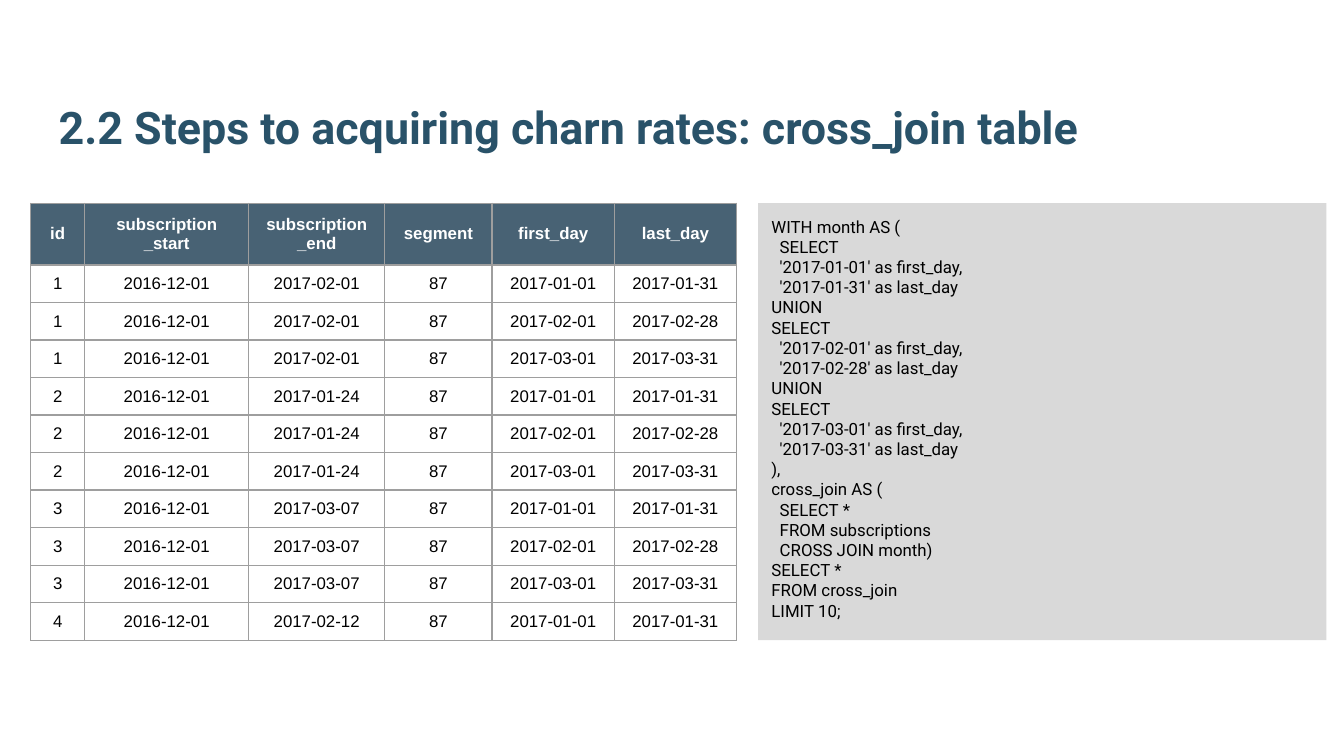
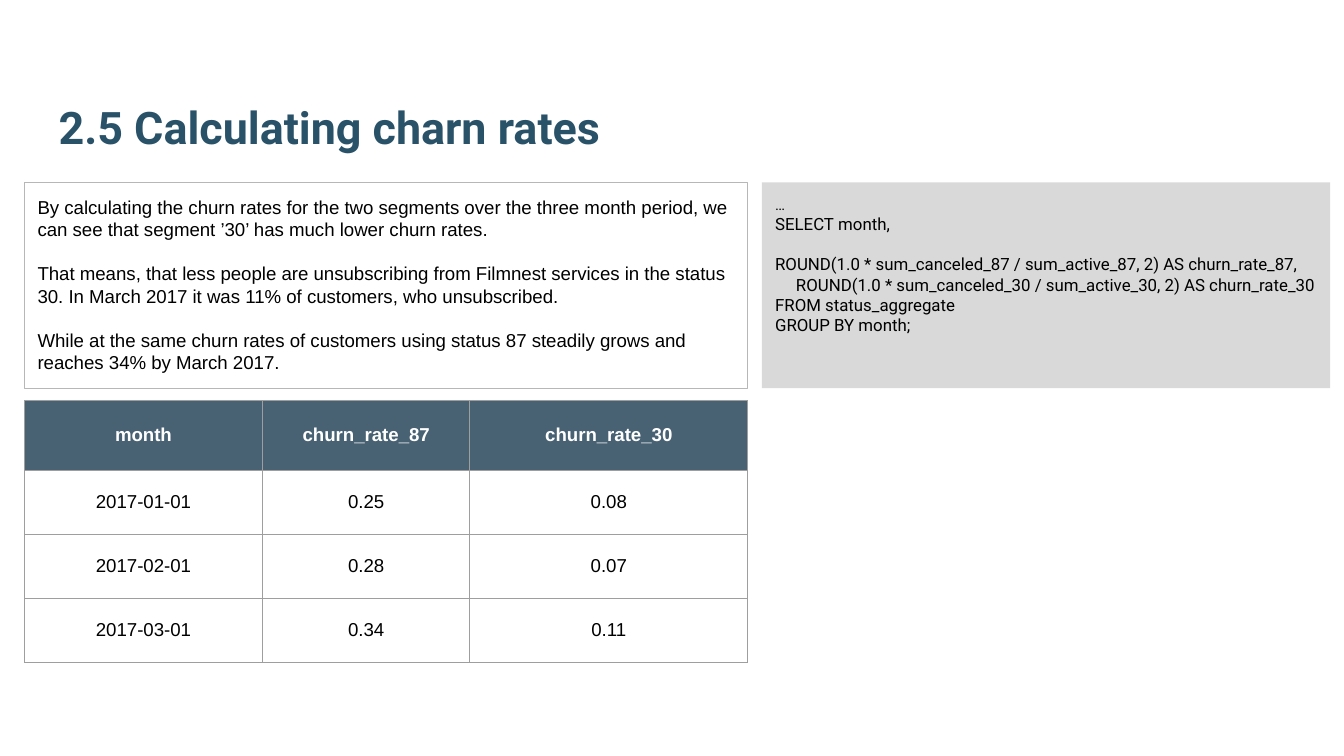
from dataclasses import dataclass
from itertools import islice, product

from lxml.etree import SubElement
from pptx import Presentation
from pptx.dml.color import RGBColor
from pptx.enum.shapes import MSO_SHAPE
from pptx.enum.text import MSO_ANCHOR, PP_ALIGN
from pptx.oxml import parse_xml
from pptx.oxml.ns import nsdecls, qn
from pptx.util import Cm, Pt


@dataclass(frozen=True)
class Theme:
    title_color: str = "295269"
    header_fill: str = "204056"
    header_opacity: int = 82
    header_text: str = "FFFFFF"
    text: str = "000000"
    code_fill: str = "D9D9D9"
    note_line: str = "B7B7B7"
    grid_line: str = "9E9E9E"
    heading_font: str = "Roboto"
    body_font: str = "Arial"
    title_size: float = 24
    body_size: float = 10
    small_size: float = 9
    ellipsis_size: float = 8
    line_width: float = 0.75


@dataclass(frozen=True)
class Box:
    """A region in centimetres."""
    left: float
    top: float
    width: float
    height: float

    def lengths(self):
        return [Cm(value) for value in (self.left, self.top, self.width, self.height)]


THEME = Theme()
TITLE_BOX = Box(0.86, 0.81, 23.67, 2.34)
INSET = Cm(0.25)
NO_BREAK_SPACE = chr(160)

MONTHS = [
    ("2017-01-01", "2017-01-31"),
    ("2017-02-01", "2017-02-28"),
    ("2017-03-01", "2017-03-31"),
]
SUBSCRIPTIONS = [
    ("1", "2016-12-01", "2017-02-01", "87"),
    ("2", "2016-12-01", "2017-01-24", "87"),
    ("3", "2016-12-01", "2017-03-07", "87"),
    ("4", "2016-12-01", "2017-02-12", "87"),
]
CROSS_JOIN_HEADER = ["id", "subscription\n_start", "subscription_end",
                     "segment", "first_day", "last_day"]
CROSS_JOIN_CODE = """WITH month AS (
  SELECT
  '2017-01-01' as first_day,
  '2017-01-31' as last_day
UNION
SELECT
  '2017-02-01' as first_day,
  '2017-02-28' as last_day
UNION
SELECT
  '2017-03-01' as first_day,
  '2017-03-31' as last_day
),
cross_join AS (
  SELECT *
  FROM subscriptions
  CROSS JOIN month)
SELECT *
FROM cross_join
LIMIT 10;"""

CHURN_HEADER = ["month", "churn_rate_87", "churn_rate_30"]
CHURN_ROWS = [
    ("2017-01-01", "0.25", "0.08"),
    ("2017-02-01", "0.28", "0.07"),
    ("2017-03-01", "0.34", "0.11"),
]
CHURN_CODE = """…
SELECT month,
     ROUND(1.0 * sum_canceled_87 / sum_active_87, 2) AS churn_rate_87, 
     ROUND(1.0 * sum_canceled_30 / sum_active_30, 2) AS churn_rate_30
FROM status_aggregate
GROUP BY month;"""
CHURN_NOTES = [
    "By calculating the churn rates for the two segments over the three month period, "
    "we can see that segment ’30’ has much lower churn rates.",
    "That means, that less people are unsubscribing from Filmnest services in the "
    "status 30. In March 2017 it was 11% of customers, who unsubscribed.",
    "While at the same churn rates of customers using status 87 steadily grows and "
    "reaches 34% by March 2017.",
]


def add_span(para, text, font, size, color, bold=False):
    span = para.add_run()
    span.text = text
    span.font.name = font
    span.font.size = Pt(size)
    span.font.bold = bold
    span.font.color.rgb = RGBColor.from_string(color)


def paragraphs(frame, lines):
    """Yield a paragraph of the frame for each line, using the first one it has."""
    for index, line in enumerate(lines):
        yield (frame.add_paragraph() if index else frame.paragraphs[0]), line


def prepare_frame(frame, anchor):
    frame.word_wrap = True
    frame.vertical_anchor = anchor
    frame.margin_left = frame.margin_right = INSET
    frame.margin_top = frame.margin_bottom = INSET


def add_title(page, text):
    frame = page.shapes.add_textbox(*TITLE_BOX.lengths()).text_frame
    prepare_frame(frame, MSO_ANCHOR.BOTTOM)
    add_span(frame.paragraphs[0], text, THEME.heading_font, THEME.title_size,
             THEME.title_color, bold=True)


def add_panel(page, box, fill=None, line=None):
    panel = page.shapes.add_shape(MSO_SHAPE.RECTANGLE, *box.lengths())
    panel.shadow.inherit = False
    if fill:
        panel.fill.solid()
        panel.fill.fore_color.rgb = RGBColor.from_string(fill)
    else:
        panel.fill.background()
    if line:
        panel.line.color.rgb = RGBColor.from_string(line)
        panel.line.width = Pt(THEME.line_width)
    else:
        panel.line.fill.background()
    prepare_frame(panel.text_frame, MSO_ANCHOR.TOP)
    return panel.text_frame


def add_code(page, box, code):
    frame = add_panel(page, box, fill=THEME.code_fill)
    for para, line in paragraphs(frame, code.split("\n")):
        para.alignment = PP_ALIGN.LEFT
        # Only the indent may break; the statement itself stays together
        statement = line.lstrip(" ")
        indent = line[:len(line) - len(statement)]
        size = THEME.ellipsis_size if line == "…" else THEME.small_size
        add_span(para, indent + statement.replace(" ", NO_BREAK_SPACE),
                 THEME.heading_font, size, THEME.text)


def add_notes_panel(page, box, notes):
    frame = add_panel(page, box, line=THEME.note_line)
    for para, note in paragraphs(frame, notes):
        para.alignment = PP_ALIGN.LEFT
        if note != notes[0]:
            para.space_before = Pt(THEME.body_size * 1.15)
        add_span(para, note, THEME.body_font, THEME.body_size, THEME.text)


def add_borders(cell):
    properties = cell._tc.get_or_add_tcPr()
    for index, side in enumerate("LRTB"):
        properties.insert(index, parse_xml(
            f'<a:ln{side} {nsdecls("a")} w="{Pt(THEME.line_width)}"><a:solidFill>'
            f'<a:srgbClr val="{THEME.grid_line}"/></a:solidFill></a:ln{side}>'))


def fill_header(cell):
    cell.fill.solid()
    cell.fill.fore_color.rgb = RGBColor.from_string(THEME.header_fill)
    color = cell._tc.tcPr.find(".//" + qn("a:srgbClr"))
    SubElement(color, qn("a:alpha")).set("val", str(THEME.header_opacity * 1000))


def add_data_table(page, box, header, rows, widths, header_height, size):
    records = [header, *rows]
    table = page.shapes.add_table(len(records), len(header), *box.lengths()).table
    table.first_row = table.horz_banding = False
    for column, width in zip(table.columns, widths):
        column.width = Cm(width)
    row_height = (box.height - header_height) / len(rows)
    for row_index, record in enumerate(records):
        is_header = row_index == 0
        table.rows[row_index].height = Cm(header_height if is_header else row_height)
        for column_index, value in enumerate(record):
            cell = table.cell(row_index, column_index)
            cell.vertical_anchor = MSO_ANCHOR.MIDDLE
            if is_header:
                fill_header(cell)
            else:
                cell.fill.background()
            add_borders(cell)
            for para, line in paragraphs(cell.text_frame, value.split("\n")):
                para.alignment = PP_ALIGN.CENTER
                add_span(para, line, THEME.body_font, size,
                         THEME.header_text if is_header else THEME.text, is_header)


def build_cross_join(page):
    add_title(page, "2.2 Steps to acquiring charn rates: cross_join table")
    # Query on the right
    add_code(page, Box(14.33, 3.84, 10.74, 8.26), CROSS_JOIN_CODE)
    # First ten rows of the joined result
    joined = islice(product(SUBSCRIPTIONS, MONTHS), 10)
    add_data_table(page, Box(0.58, 3.84, 13.34, 8.26), CROSS_JOIN_HEADER,
                   [subscription + month for subscription, month in joined],
                   [1.02, 3.1, 2.57, 2.03, 2.31, 2.31], 1.17, THEME.small_size)


def build_churn_rates(page):
    add_title(page, "2.5 Calculating charn rates")
    # Query and findings side by side
    add_code(page, Box(14.4, 3.45, 10.74, 3.89), CHURN_CODE)
    add_notes_panel(page, Box(0.46, 3.45, 13.67, 3.89), CHURN_NOTES)
    # Rates by month
    add_data_table(page, Box(0.46, 7.57, 13.67, 4.95), CHURN_HEADER, CHURN_ROWS,
                   [4.5, 3.92, 5.25], 1.32, THEME.body_size)


def main():
    deck = Presentation()
    deck.slide_width, deck.slide_height = Cm(25.4), Cm(14.29)
    for build in (build_cross_join, build_churn_rates):
        build(deck.slides.add_slide(deck.slide_layouts[6]))
    deck.save("out.pptx")


if __name__ == "__main__":
    main()
